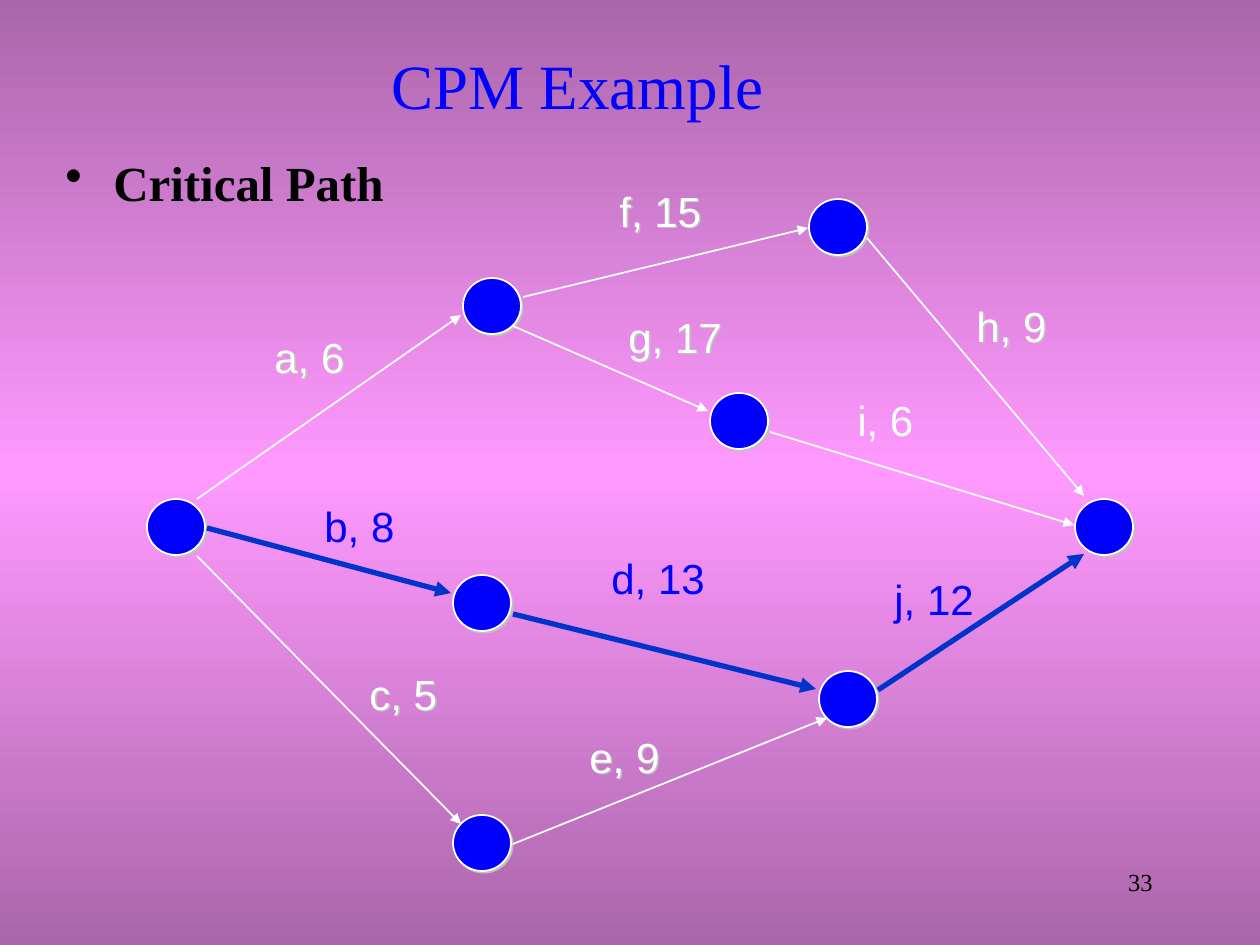
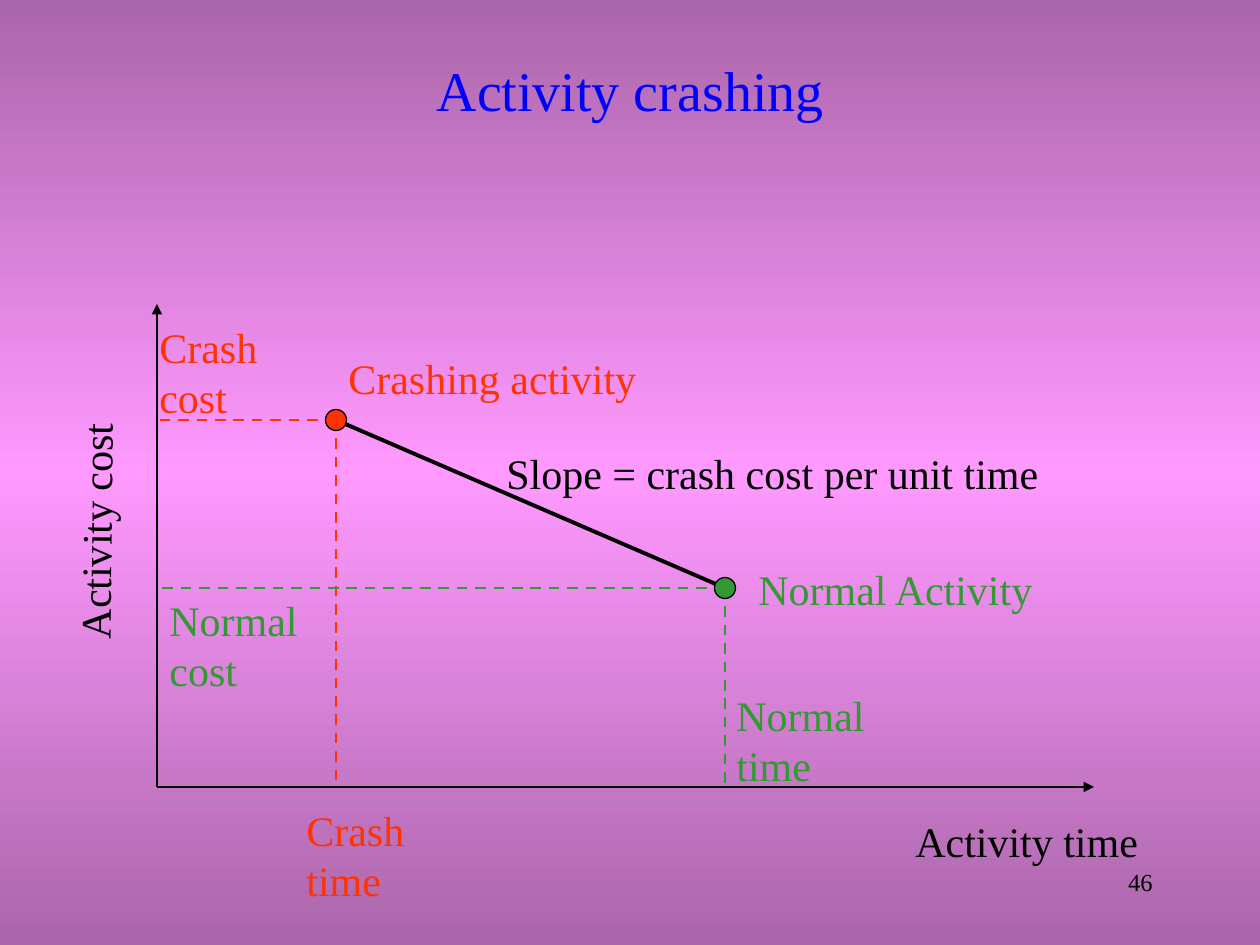
"""Build two project-scheduling slides: a critical path network and an activity crashing plot."""
from collections import namedtuple
from copy import deepcopy
from dataclasses import dataclass

from lxml.etree import SubElement
from pptx import Presentation
from pptx.dml.color import RGBColor
from pptx.enum.dml import MSO_LINE
from pptx.enum.shapes import MSO_CONNECTOR, MSO_SHAPE
from pptx.enum.text import MSO_ANCHOR, MSO_AUTO_SIZE, PP_ALIGN
from pptx.oxml import parse_xml
from pptx.oxml.ns import nsdecls, qn
from pptx.util import Pt

Box = namedtuple("Box", "x y w h")


@dataclass(frozen=True)
class Theme:
    """Colours, fonts and type sizes shared by the slides."""
    edge: str = "AA66AA"
    middle: str = "FF99FF"
    blue: str = "0000FF"
    critical: str = "0033CC"
    white: str = "FFFFFF"
    black: str = "000000"
    shadow: str = "C0C0C0"
    crash: str = "FF3300"
    normal: str = "339933"
    serif: str = "Times New Roman"
    sans: str = "Arial"
    label: int = 24
    bullet: int = 28
    number: int = 14


T = Theme()
SLIDE = Box(0, 0, 1260, 945)
NUMBER = Box(903, 861, 262, 63)
NODE_W, NODE_H = 58, 56
DOT = 21
LINE_H, TWO_LINES_H = 63, 113

NODES = {
    "start": (29, 348), "end": (957, 348),
    "A": (345, 127), "F": (691, 48), "G": (592, 242),
    "B": (335, 424), "E": (701, 520), "C": (335, 664),
}
Activity = namedtuple("Activity", "tail tail_shift head head_shift text at width")
ACTIVITIES = [
    Activity("start", (21, -28), "A", (-31, 9), "a, 6", (115, 146), 96),
    Activity("start", (31, 1), "B", (-31, -10), "b, 8", (165, 315), 96),
    Activity("start", (21, 29), "C", (-21, -19), "c, 5", (210, 483), 96),
    Activity("B", (31, 11), "E", (-32, -10), "d, 13", (452, 367), 120),
    Activity("C", (31, 1), "E", (-21, 19), "e, 9", (430, 546), 96),
    Activity("A", (31, -9), "F", (-30, 1), "f, 15", (460, 0), 109),
    Activity("A", (21, 20), "G", (-31, -10), "g, 17", (469, 126), 120),
    Activity("F", (29, 11), "end", (-20, -31), "h, 9", (817, 115), 96),
    Activity("G", (31, 11), "end", (-30, -2), "i, 6", (698, 209), 83),
    Activity("E", (30, -9), "end", (-20, 27), "j, 12", (735, 388), 107),
]
CRITICAL_PATH = "bdj"
FLAT_LABELS = "bdij"


def px(n):
    """Turn px into EMU."""
    return round(n * 914400 / 126)


def rgb(color):
    """Turn a hex string into a colour."""
    return RGBColor.from_string(color)


def place(sp, box):
    """Move and size a shape."""
    sp.left, sp.top, sp.width, sp.height = map(px, box)


def add_shadow(sp):
    """Give a shape a small hard shadow to the lower right."""
    spPr = sp.element.spPr
    for effects in spPr.findall(qn("a:effectLst")):
        spPr.remove(effects)
    spPr.append(parse_xml(
        f'<a:effectLst {nsdecls("a")}><a:outerShdw dist="17780" dir="2700000" algn="ctr" '
        f'rotWithShape="0"><a:srgbClr val="{T.shadow}"/></a:outerShdw></a:effectLst>'))


def format_text(p, color, size, font, bold=False, align=PP_ALIGN.LEFT):
    """Format the only run of a paragraph."""
    p.alignment = align
    r = p.runs[0]
    r.font.size, r.font.name, r.font.bold = Pt(size), font, bold
    r.font.color.rgb = rgb(color)


def add_text(s, box, text, color, size=T.label, font=T.serif, wrap=True, **style):
    """Add a one-paragraph text box, which fits its text when it does not wrap."""
    sp = s.shapes.add_textbox(*map(px, box))
    tf = sp.text_frame
    tf.word_wrap = wrap
    if not wrap:
        tf.auto_size = MSO_AUTO_SIZE.SHAPE_TO_FIT_TEXT
    tf.text = text
    format_text(tf.paragraphs[0], color, size, font, **style)
    return sp


def add_line(s, start, end, color, width, arrow=False, dash=None):
    """Draw a straight line between two points."""
    c = s.shapes.add_connector(MSO_CONNECTOR.STRAIGHT, *map(px, (*start, *end)))
    c.line.color.rgb = rgb(color)
    c.line.width = Pt(width)
    if dash:
        c.line.dash_style = dash
    if arrow:
        SubElement(c.element.find(".//" + qn("a:ln")), qn("a:tailEnd"), type="triangle")
    SubElement(c.element.spPr, qn("a:effectLst"))


def add_ellipse(s, center, w, h, fill, line, line_width):
    """Draw an ellipse around a centre point."""
    x, y = center
    sp = s.shapes.add_shape(MSO_SHAPE.OVAL, *map(px, (x - w / 2, y - h / 2, w, h)))
    sp.shadow.inherit = False
    sp.fill.solid()
    sp.fill.fore_color.rgb = rgb(fill)
    sp.line.color.rgb = rgb(line)
    sp.line.width = Pt(line_width)
    return sp


def set_background(prs):
    """Give the master a vertical three-stop gradient."""
    master = prs.slide_master
    fill = master.background.fill
    fill.gradient()
    fill.gradient_angle = 270
    stop_list = master.element.find(".//" + qn("p:bg")).find(".//" + qn("a:gsLst"))
    stop_list.append(deepcopy(stop_list[0]))
    for stop, position, color in zip(fill.gradient_stops, (0, 0.5, 1),
                                     (T.edge, T.middle, T.edge)):
        stop.position = position
        stop.color.rgb = rgb(color)


def add_slide(prs, title, title_box, title_size, number):
    """Add a title-only slide with its title and number."""
    s = prs.slides.add_slide(prs.slide_layouts[5])
    sp = s.shapes.title
    place(sp, title_box)
    tf = sp.text_frame
    tf.text = title
    tf.vertical_anchor = MSO_ANCHOR.MIDDLE
    format_text(tf.paragraphs[0], T.blue, title_size, T.serif, align=PP_ALIGN.CENTER)
    add_text(s, NUMBER, number, T.black, T.number, align=PP_ALIGN.RIGHT)
    return s


def add_bullet(s, box, text):
    """Add a bold bulleted line."""
    sp = add_text(s, box, text, T.black, T.bullet, bold=True)
    p = sp.text_frame.paragraphs[0]
    p.line_spacing = 0.8
    pPr = p._p.get_or_add_pPr()
    pPr.set("marL", str(px(48)))
    pPr.set("indent", str(-px(48)))
    SubElement(SubElement(pPr, qn("a:buClr")), qn("a:srgbClr"), val=T.black)
    SubElement(pPr, qn("a:buChar"), char="•")


def add_network(s, box):
    """Draw the activity network inside a box."""
    def at(point, shift=(0, 0)):
        return box.x + point[0] + shift[0], box.y + point[1] + shift[1]

    for center in NODES.values():
        add_shadow(add_ellipse(s, at(center), NODE_W, NODE_H, T.blue, T.white, 1))
    for a in ACTIVITIES:
        critical = a.text[0] in CRITICAL_PATH
        color, width = (T.critical, 3) if critical else (T.white, 1)
        add_line(s, at(NODES[a.tail], a.tail_shift), at(NODES[a.head], a.head_shift),
                 color, width, arrow=True)
        sp = add_text(s, Box(*at(a.at), a.width, LINE_H), a.text,
                      T.blue if critical else T.white, font=T.sans, wrap=False)
        if a.text[0] not in FLAT_LABELS:
            add_shadow(sp)


def add_crash_plot(s, box):
    """Draw the cost against time plot, with axes on the edges of a box."""
    def at(x, y):
        return box.x + x, box.y + y

    def label(x, y, w, h, text, color=T.black):
        return add_text(s, Box(*at(x, y), w, h), text, color)

    crash, normal = (179, 116), (568, 284)
    add_line(s, at(*crash), at(*normal), T.black, 2.25)
    origin = at(0, box.h)
    for end in (at(box.w, box.h), at(0, 0)):
        add_line(s, origin, end, T.black, 0.75, arrow=True)
    label(-204, 174, 284, LINE_H, "Activity cost").rotation = 270.5
    label(746, 505, 262, LINE_H, "Activity time")

    points = [
        (crash, T.crash, 179, [("Crashing activity", 179, 42), ("Crash time", 137, 494),
                               ("Crash cost", -10, 11)]),
        (normal, T.normal, 158, [("Normal Activity", 589, 253), ("Normal time", 567, 379),
                                 ("Normal cost", 0, 284)]),
    ]
    for (x, y), color, narrow, (name, *values) in points:
        for end in (at(0, y), at(x, box.h)):
            add_line(s, at(x, y), end, color, 1.5, dash=MSO_LINE.DASH)
        text, left, top = name
        label(left, top, 315, LINE_H, text, color)
        for text, left, top in values:
            label(left, top, narrow, TWO_LINES_H, text, color)
        add_ellipse(s, at(x, y), DOT, DOT, color, T.black, 0.75)
    label(337, 137, 567, LINE_H, "Slope = crash cost per unit time")


def main():
    """Build and save the presentation."""
    prs = Presentation()
    prs.slide_width, prs.slide_height = px(SLIDE.w), px(SLIDE.h)
    set_background(prs)

    s = add_slide(prs, "CPM Example", Box(42, 32, 1071, 105), 36, "33")
    add_bullet(s, Box(53, 158, 1071, 60), "Critical Path")
    add_network(s, Box(147, 179, 986, 693))

    s = add_slide(prs, "Activity crashing", Box(95, 42, 1071, 94), 32, "46")
    add_crash_plot(s, Box(157, 304, 937, 483))
    prs.save("out.pptx")


if __name__ == "__main__":
    main()
